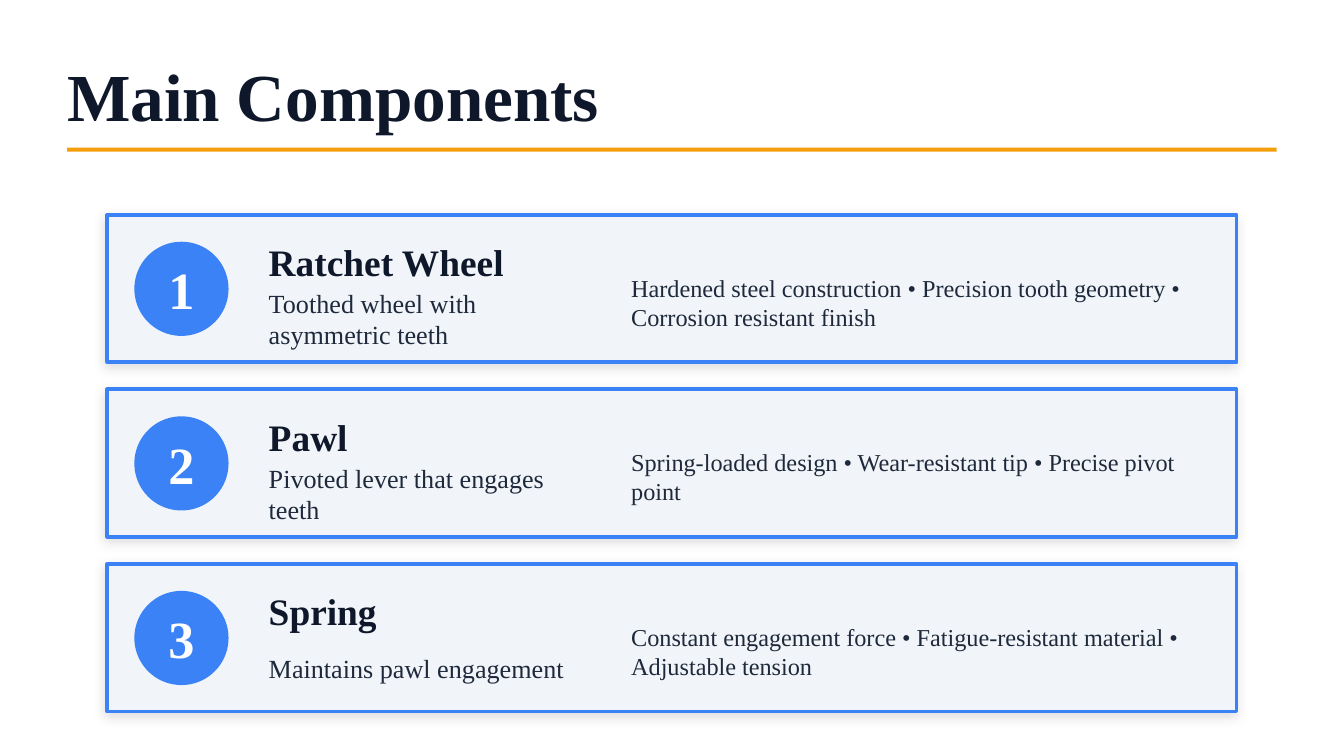
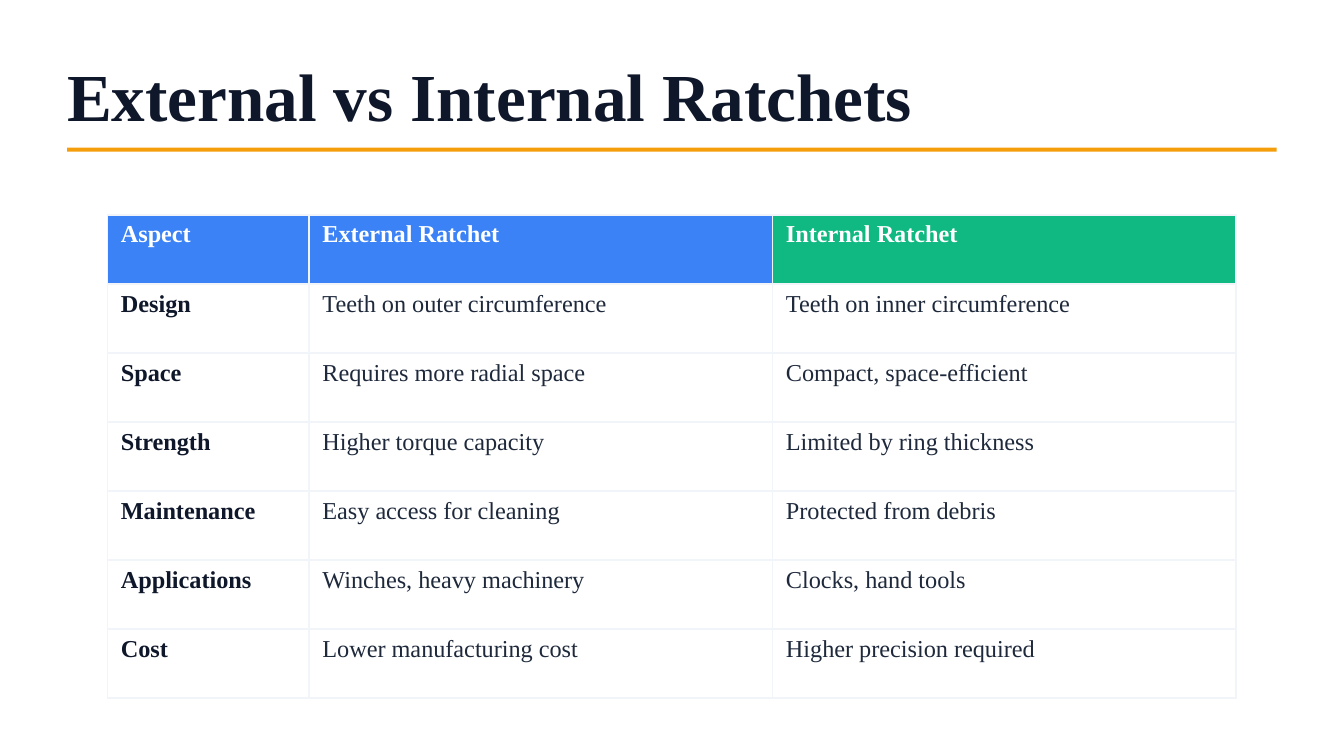
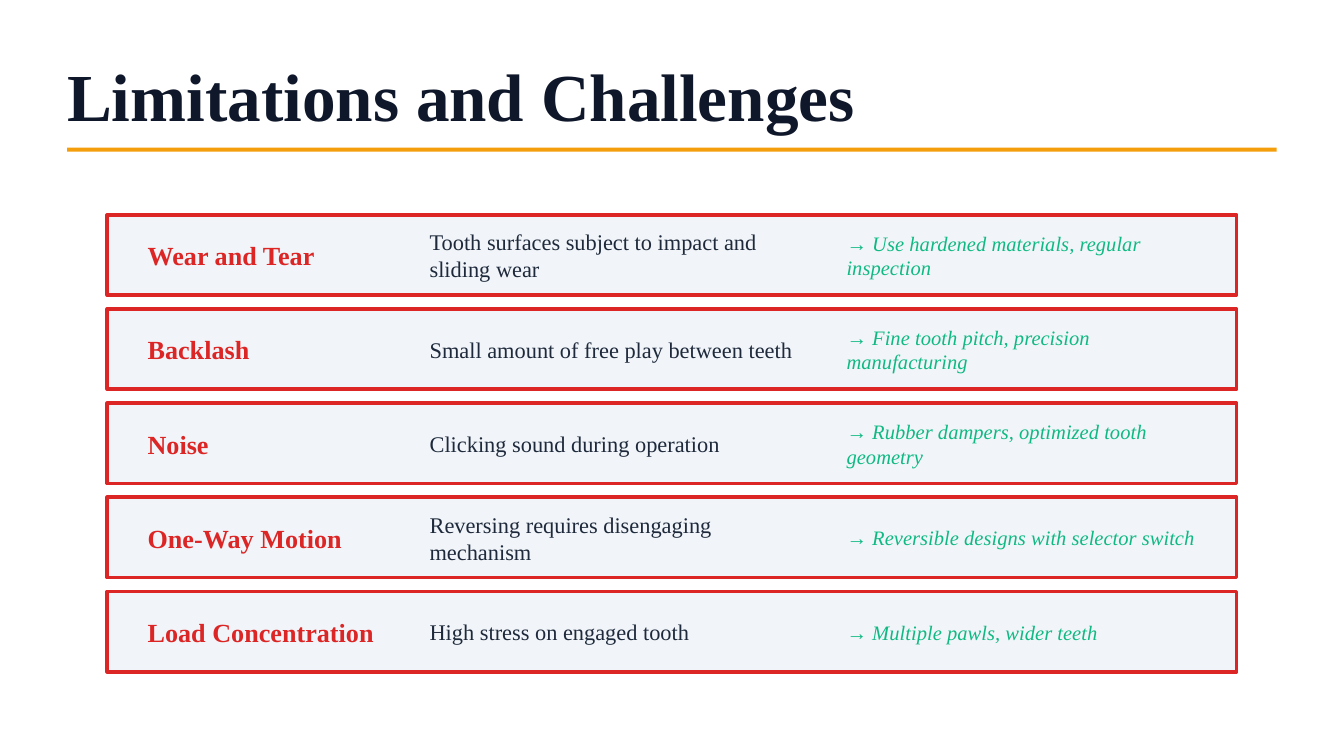
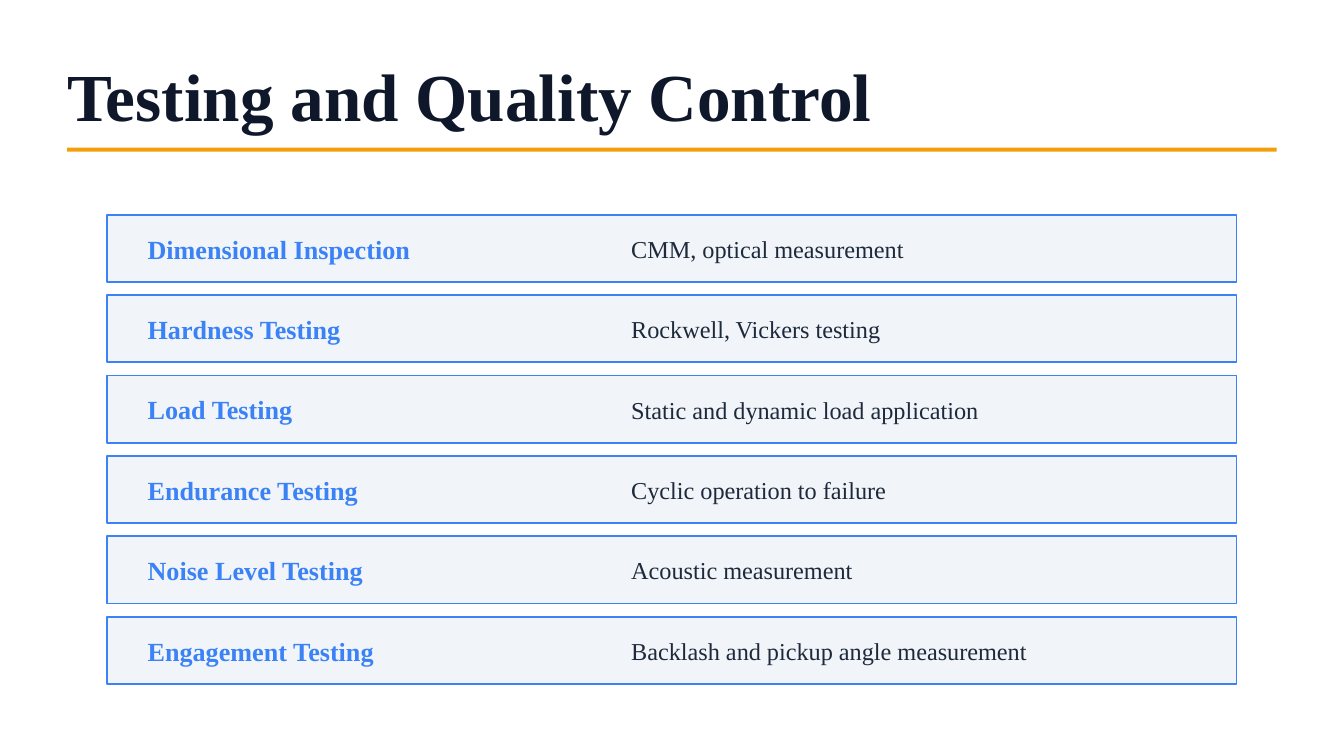
from dataclasses import dataclass

from lxml.etree import SubElement
from pptx import Presentation
from pptx.dml.color import RGBColor
from pptx.enum.shapes import MSO_SHAPE
from pptx.enum.text import MSO_ANCHOR, MSO_AUTO_SIZE, PP_ALIGN
from pptx.oxml.ns import qn
from pptx.util import Cm, Pt

FONT = "Times New Roman"
NAVY, SLATE, PALE, WHITE = "0F172A", "1E293B", "F1F5F9", "FFFFFF"
BLUE, GREEN, RED, AMBER = "3B82F6", "10B981", "DC2626", "F59E0B"
LEFT, TOP, WIDTH = 2.03, 4.06, 21.34


@dataclass(frozen=True)
class Style:
    """Look of a run of text."""
    size: int
    color: str
    bold: bool = False
    italic: bool = False


@dataclass(frozen=True)
class Field:
    """Text box of a band, with its drop measured from the band's top in cm."""
    left: float
    drop: float
    width: float
    height: float
    style: Style


@dataclass(frozen=True)
class Band:
    """Framed band, repeated down the slide at a fixed step in cm."""
    height: float
    step: float
    color: str
    weight: float
    fields: tuple[Field, ...]
    badge: bool = False


TITLE = Style(36, NAVY, bold=True)
BADGE = Style(28, WHITE, bold=True)
HEAD = Style(13, WHITE, bold=True)
LABEL = Style(13, NAVY, bold=True)
BODY = Style(13, SLATE)

PARTS = Band(2.79, 3.3, BLUE, 2, (
    Field(4.83, 0.38, 6.35, 1.02, Style(20, NAVY, bold=True)),
    Field(4.83, 1.52, 6.35, 0.89, Style(14, SLATE)),
    Field(11.68, 0.89, 11.18, 1.52, BODY),
), badge=True)
LIMITS = Band(1.52, 1.78, RED, 2, (
    Field(2.54, 0.13, 5.08, 1.27, Style(14, RED, bold=True)),
    Field(7.87, 0.13, 7.62, 1.27, Style(12, SLATE)),
    Field(15.75, 0.13, 7.11, 1.27, Style(11, GREEN, italic=True)),
))
TESTS = Band(1.27, 1.52, BLUE, 1, (
    Field(2.54, 0.13, 8.89, 1.02, Style(14, BLUE, bold=True)),
    Field(11.68, 0.13, 11.18, 1.02, BODY),
))

PART_ROWS = (
    ("Ratchet Wheel", "Toothed wheel with asymmetric teeth",
     "Hardened steel construction • Precision tooth geometry • Corrosion resistant finish"),
    ("Pawl", "Pivoted lever that engages teeth",
     "Spring-loaded design • Wear-resistant tip • Precise pivot point"),
    ("Spring", "Maintains pawl engagement",
     "Constant engagement force • Fatigue-resistant material • Adjustable tension"),
)
TYPE_ROWS = (
    ("Aspect", "External Ratchet", "Internal Ratchet"),
    ("Design", "Teeth on outer circumference", "Teeth on inner circumference"),
    ("Space", "Requires more radial space", "Compact, space-efficient"),
    ("Strength", "Higher torque capacity", "Limited by ring thickness"),
    ("Maintenance", "Easy access for cleaning", "Protected from debris"),
    ("Applications", "Winches, heavy machinery", "Clocks, hand tools"),
    ("Cost", "Lower manufacturing cost", "Higher precision required"),
)
LIMIT_ROWS = (
    ("Wear and Tear", "Tooth surfaces subject to impact and sliding wear",
     "→ Use hardened materials, regular inspection"),
    ("Backlash", "Small amount of free play between teeth",
     "→ Fine tooth pitch, precision manufacturing"),
    ("Noise", "Clicking sound during operation",
     "→ Rubber dampers, optimized tooth geometry"),
    ("One-Way Motion", "Reversing requires disengaging mechanism",
     "→ Reversible designs with selector switch"),
    ("Load Concentration", "High stress on engaged tooth",
     "→ Multiple pawls, wider teeth"),
)
TEST_ROWS = (
    ("Dimensional Inspection", "CMM, optical measurement"),
    ("Hardness Testing", "Rockwell, Vickers testing"),
    ("Load Testing", "Static and dynamic load application"),
    ("Endurance Testing", "Cyclic operation to failure"),
    ("Noise Level Testing", "Acoustic measurement"),
    ("Engagement Testing", "Backlash and pickup angle measurement"),
)


def paint(target, color: str) -> None:
    """Give a fill or line format a solid hex colour."""
    fill = getattr(target, "fill", target)
    fill.solid()
    fill.fore_color.rgb = RGBColor.from_string(color)


def write(frame, text: str, style: Style, align=PP_ALIGN.LEFT) -> None:
    """Write one styled run into a text frame."""
    para = frame.paragraphs[0]
    para.alignment = align
    run = para.add_run()
    run.text = text
    font = run.font
    font.name, font.size = FONT, Pt(style.size)
    font.bold, font.italic = style.bold, style.italic
    paint(font, style.color)


def add_block(slide, kind, left: float, top: float, width: float, height: float, color: str):
    """Add a flat shape without an outline."""
    shape = slide.shapes.add_shape(kind, Cm(left), Cm(top), Cm(width), Cm(height))
    paint(shape, color)
    shape.line.fill.background()
    shape.shadow.inherit = False
    return shape


def add_shade(shape) -> None:
    """Add a soft outer shadow to a shape."""
    effects = shape._element.spPr.find(qn("a:effectLst"))
    outer = SubElement(effects, qn("a:outerShdw"), blurRad=str(Pt(6)),
                       dist=str(Pt(2)), dir="8100000", algn="bl", rotWithShape="0")
    color = SubElement(outer, qn("a:srgbClr"), val="000000")
    SubElement(color, qn("a:alpha"), val="12000")


def add_field(slide, field: Field, top: float, text: str) -> None:
    """Add a band's text box."""
    box = slide.shapes.add_textbox(Cm(field.left), Cm(top + field.drop),
                                   Cm(field.width), Cm(field.height))
    frame = box.text_frame
    frame.word_wrap = True
    frame.vertical_anchor = MSO_ANCHOR.MIDDLE
    write(frame, text, field.style)


def add_bands(slide, band: Band, rows: tuple[tuple[str, ...], ...]) -> None:
    """Stack one band for each row of texts."""
    for index, texts in enumerate(rows):
        top = TOP + index * band.step
        frame = add_block(slide, MSO_SHAPE.RECTANGLE, LEFT, top, WIDTH, band.height, PALE)
        paint(frame.line, band.color)
        frame.line.width = Pt(band.weight)
        if band.badge:
            add_shade(frame)
            disc = add_block(slide, MSO_SHAPE.OVAL, 2.54, top + 0.51, 1.78, 1.78, band.color)
            disc.text_frame.vertical_anchor = MSO_ANCHOR.MIDDLE
            write(disc.text_frame, str(index + 1), BADGE, PP_ALIGN.CENTER)
        for field, text in zip(band.fields, texts):
            add_field(slide, field, top, text)


def add_edges(cell, color: str) -> None:
    """Draw thin lines on all sides of a cell."""
    props = cell._tc.get_or_add_tcPr()
    for index, side in enumerate(("a:lnL", "a:lnR", "a:lnT", "a:lnB")):
        edge = SubElement(props, qn(side), w=str(Pt(1)))
        fill = SubElement(edge, qn("a:solidFill"))
        SubElement(fill, qn("a:srgbClr"), val=color)
        props.insert(index, edge)


def add_grid(slide, rows: tuple[tuple[str, ...], ...]) -> None:
    """Add the comparison table."""
    table = slide.shapes.add_table(len(rows), len(rows[0]), Cm(LEFT), Cm(TOP),
                                   Cm(WIDTH), Cm(9.14)).table
    table.first_row = table.horz_banding = False
    for column, width in zip(table.columns, (3.81, 8.76, 8.76)):
        column.width = Cm(width)
    for row, texts in enumerate(rows):
        for col, text in enumerate(texts):
            cell = table.cell(row, col)
            if row == 0:
                paint(cell, (BLUE, BLUE, GREEN)[col])
                style = HEAD
            else:
                cell.fill.background()
                style = BODY if col else LABEL
            write(cell.text_frame, text, style)
            add_edges(cell, PALE)


def add_page(deck, title: str):
    """Add a slide with its title and rule."""
    slide = deck.slides.add_slide(deck.slide_layouts[5])
    head = slide.shapes.title
    head.left, head.top, head.width, head.height = Cm(1.27), Cm(1.02), Cm(22.86), Cm(1.52)
    frame = head.text_frame
    frame.margin_left = frame.margin_right = frame.margin_top = frame.margin_bottom = 0
    frame.auto_size = MSO_AUTO_SIZE.NONE
    frame.vertical_anchor = MSO_ANCHOR.MIDDLE
    write(frame, title, TITLE)
    add_block(slide, MSO_SHAPE.RECTANGLE, 1.27, 2.79, 22.86, 0.08, AMBER)
    return slide


def main() -> None:
    """Build and save the deck."""
    deck = Presentation()
    deck.slide_width, deck.slide_height = Cm(25.4), Cm(14.29)
    add_bands(add_page(deck, "Main Components"), PARTS, PART_ROWS)
    add_grid(add_page(deck, "External vs Internal Ratchets"), TYPE_ROWS)
    add_bands(add_page(deck, "Limitations and Challenges"), LIMITS, LIMIT_ROWS)
    add_bands(add_page(deck, "Testing and Quality Control"), TESTS, TEST_ROWS)
    deck.save("out.pptx")


if __name__ == "__main__":
    main()
